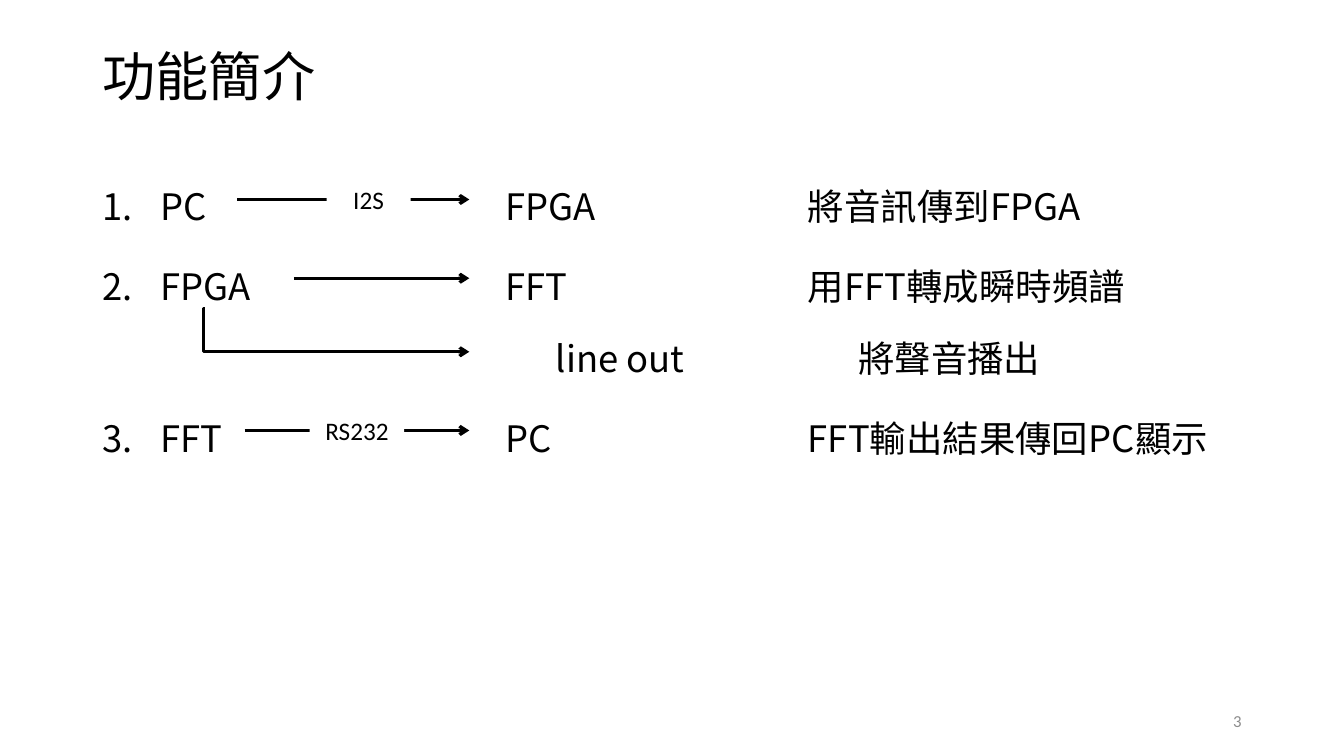
from dataclasses import dataclass

from lxml.etree import SubElement
from pptx import Presentation
from pptx.dml.color import RGBColor
from pptx.enum.shapes import MSO_CONNECTOR as Connector, MSO_SHAPE as Preset
from pptx.enum.text import MSO_ANCHOR as Anchor, PP_ALIGN as Align
from pptx.oxml.ns import qn
from pptx.util import Emu, Pt

EMU_PER_PX = 9525


@dataclass(frozen=True)
class Theme:
    black: RGBColor = RGBColor(0, 0, 0)
    white: RGBColor = RGBColor(255, 255, 255)
    grey: RGBColor = RGBColor(0x8C, 0x8C, 0x8C)
    main_font: str = "Noto Sans CJK SC"
    label_font: str = "Calibri"
    title_size: int = 38
    body_size: int = 26
    label_size: int = 18
    number_size: int = 12
    line_width: float = 2.25


THEME = Theme()
ARROW_END = 447
HANGING_INDENT = 55
TAB_WIDTH = 96
SUBLINE_LEVEL, SUBLINE_INDENT = 7, 336

# Row text, and whether the row is numbered
FLOW_ROWS = [
    ("PC\t\t\tFPGA\t\t\t將音訊傳到FPGA", True),
    ("FPGA\t\t\tFFT\t\t\t用FFT轉成瞬時頻譜", True),
    ("\tline out\t\t將聲音播出", False),
    ("FFT\t\t\tPC\t\t\tFFT輸出結果傳回PC顯示", True),
]
# Start x and y of each straight arrow
ARROWS = [(226, 190), (280, 265), (233, 410)]
# Text, left, centre y and width of each protocol label
LABELS = [("I2S", 311, 190, 80), ("RS232", 295, 410, 90)]
LABEL_HEIGHT = 38


def px(*lengths):
    return [Emu(length * EMU_PER_PX) for length in lengths]


def format_runs(paragraph, font_name, size, color):
    for run in paragraph.runs:
        run.font.name = font_name
        run.font.size = Pt(size)
        run.font.color.rgb = color
        SubElement(run.font._element, qn("a:ea"), typeface=font_name)


def set_title(slide, text):
    title = slide.shapes.title
    title.left, title.top, title.width, title.height = px(88, 38, 1104, 75)
    frame = title.text_frame
    frame.text = text
    frame.vertical_anchor = Anchor.MIDDLE
    paragraph = frame.paragraphs[0]
    paragraph.alignment = Align.LEFT
    paragraph.line_spacing = 0.9
    format_runs(paragraph, THEME.main_font, THEME.title_size, THEME.black)


def add_flow_text(slide, rows):
    frame = slide.shapes.add_textbox(*px(88, 150, 1104, 499)).text_frame
    frame.word_wrap = True
    for index, (text, numbered) in enumerate(rows):
        paragraph = frame.add_paragraph() if index else frame.paragraphs[0]
        paragraph.text = text
        paragraph.line_spacing = 1.5
        paragraph.space_before = Pt(10 if numbered else 5)
        format_runs(paragraph, THEME.main_font, THEME.body_size, THEME.black)
        properties = paragraph._p.get_or_add_pPr()
        properties.set("defTabSz", str(px(TAB_WIDTH)[0]))
        if numbered:
            indent = px(HANGING_INDENT)[0]
            properties.set("marL", str(indent))
            properties.set("indent", str(-indent))
            SubElement(properties, qn("a:buFont"), typeface="+mj-lt")
            SubElement(properties, qn("a:buAutoNum"), type="arabicPeriod")
        else:
            paragraph.level = SUBLINE_LEVEL
            properties.set("marL", str(px(SUBLINE_INDENT)[0]))
            properties.set("indent", "0")
            SubElement(properties, qn("a:buNone"))


def add_arrow(slide, start, end, kind=Connector.STRAIGHT):
    arrow = slide.shapes.add_connector(kind, *px(*start, *end))
    arrow.line.color.rgb = THEME.black
    arrow.line.width = Pt(THEME.line_width)
    SubElement(arrow.line._get_or_add_ln(), qn("a:tailEnd"), type="arrow")
    SubElement(arrow._element.spPr, qn("a:effectLst"))
    return arrow


def add_corner_arrow(slide, start, end):
    arrow = add_arrow(slide, start, end, Connector.ELBOW)
    # Bend at the start, so that the line goes down first
    geometry = arrow._element.spPr.find(qn("a:prstGeom"))
    adjustments = geometry.find(qn("a:avLst"))
    if adjustments is None:
        adjustments = SubElement(geometry, qn("a:avLst"))
    SubElement(adjustments, qn("a:gd"), name="adj1", fmla="val -300")


def add_label(slide, text, left, center, width):
    label = slide.shapes.add_shape(
        Preset.RECTANGLE,
        *px(left, center - LABEL_HEIGHT // 2, width, LABEL_HEIGHT))
    label.shadow.inherit = False
    label.fill.solid()
    label.fill.fore_color.rgb = THEME.white
    label.line.fill.background()
    frame = label.text_frame
    frame.text = text
    frame.vertical_anchor = Anchor.TOP
    paragraph = frame.paragraphs[0]
    paragraph.alignment = Align.CENTER
    format_runs(paragraph, THEME.label_font, THEME.label_size, THEME.black)


def add_slide_number(slide, number):
    frame = slide.shapes.add_textbox(*px(904, 667, 288, 38)).text_frame
    frame.word_wrap = True
    frame.text = number
    frame.vertical_anchor = Anchor.MIDDLE
    paragraph = frame.paragraphs[0]
    paragraph.alignment = Align.RIGHT
    format_runs(paragraph, THEME.label_font, THEME.number_size, THEME.grey)


def main():
    presentation = Presentation()
    presentation.slide_width, presentation.slide_height = px(1280, 720)
    slide = presentation.slides.add_slide(presentation.slide_layouts[5])

    # Text
    set_title(slide, "功能簡介")
    add_flow_text(slide, FLOW_ROWS)
    add_slide_number(slide, "3")

    # Arrows, with the labels covering their middles
    for x, y in ARROWS:
        add_arrow(slide, (x, y), (ARROW_END, y))
    add_corner_arrow(slide, (195, 294), (ARROW_END, 335))
    for label in LABELS:
        add_label(slide, *label)

    presentation.save("out.pptx")


if __name__ == "__main__":
    main()
